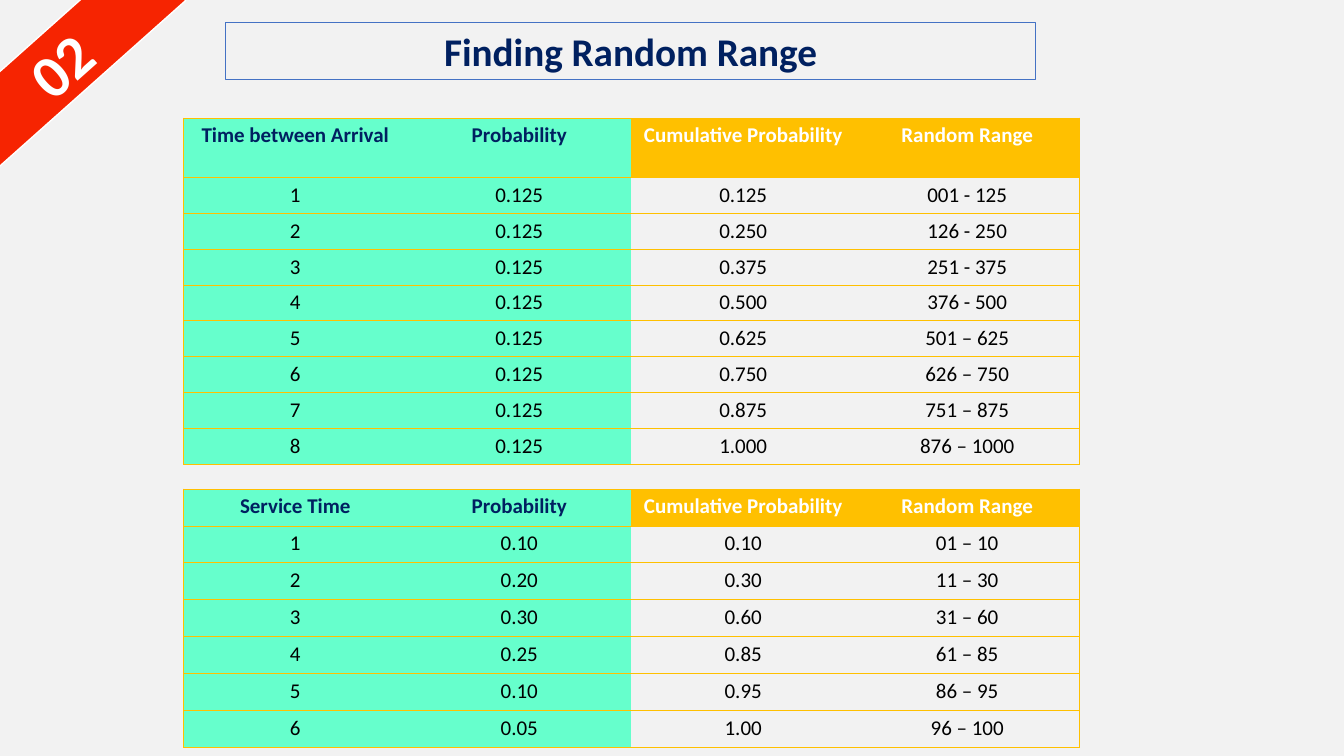
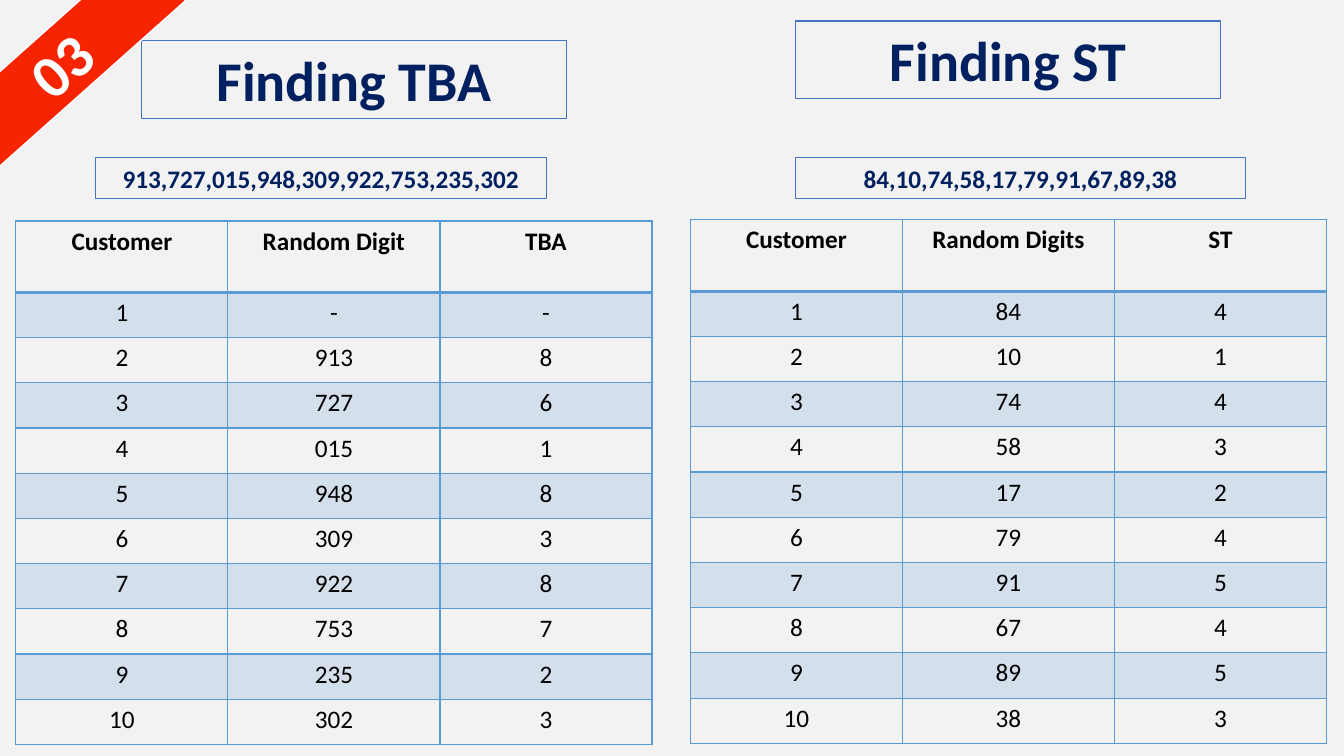
from dataclasses import dataclass

import lxml.etree
import pptx
import pptx.dml.color
import pptx.dml.fill
import pptx.enum.shapes
import pptx.enum.text
import pptx.oxml.ns
import pptx.presentation
import pptx.shapes.autoshape
import pptx.slide
import pptx.table
import pptx.text.text
import pptx.util

Cm = pptx.util.Cm
qn = pptx.oxml.ns.qn

COLORS = {
    "background": "F2F2F2",
    "navy": "002060",
    "black": "000000",
    "white": "FFFFFF",
    "ribbon": "F62401",
    "frame": "4472C4",
    "mint": "66FFCC",
    "gold": "FFC000",
    "sky": "5B9BD5",
}
FONT = "Calibri"
PLAIN_TABLE_STYLE = "{2D5ABB26-0587-4C30-8999-92F81FD0307C}"


@dataclass(frozen=True)
class Caption:
    text: str
    left: float
    top: float
    width: float
    height: float
    size: int


@dataclass(frozen=True)
class TableLook:
    size: int
    border: str
    border_width: float
    header_rule: float
    inner_verticals: bool
    given_columns: int
    banded: bool


@dataclass(frozen=True)
class Grid:
    left: float
    top: float
    width: float
    header_height: float
    row_height: float
    look: TableLook
    header: tuple[str, ...]
    rows: tuple[tuple[str, ...], ...]


@dataclass(frozen=True)
class Step:
    number: str
    grids: tuple[Grid, ...]
    captions: tuple[Caption, ...]


RANGE_LOOK = TableLook(15, "gold", 0.5, 0.5, False, 2, False)
DIGIT_LOOK = TableLook(18, "sky", 1, 2, True, 0, True)


def rgb(name: str) -> pptx.dml.color.RGBColor:
    return pptx.dml.color.RGBColor.from_string(COLORS[name])


def paint(fill: pptx.dml.fill.FillFormat, color: str | None) -> None:
    if color is None:
        fill.background()
    else:
        fill.solid()
        fill.fore_color.rgb = rgb(color)


def write(frame: pptx.text.text.TextFrame, text: str, size: int, color: str, bold: bool) -> None:
    paragraph = frame.paragraphs[0]
    paragraph.text = text
    paragraph.alignment = pptx.enum.text.PP_ALIGN.CENTER
    paragraph.font.name = FONT
    paragraph.font.size = pptx.util.Pt(size)
    paragraph.font.bold = bold
    paragraph.font.color.rgb = rgb(color)


def add_box(
    slide: pptx.slide.Slide, caption: Caption, fill: str | None, line: str, line_width: float, color: str
) -> pptx.shapes.autoshape.Shape:
    box = slide.shapes.add_shape(
        pptx.enum.shapes.MSO_SHAPE.RECTANGLE,
        Cm(caption.left), Cm(caption.top), Cm(caption.width), Cm(caption.height),
    )
    box.shadow.inherit = False
    paint(box.fill, fill)
    box.line.color.rgb = rgb(line)
    box.line.width = pptx.util.Pt(line_width)
    box.text_frame.word_wrap = True
    write(box.text_frame, caption.text, caption.size, color, True)
    return box


def add_caption(slide: pptx.slide.Slide, caption: Caption) -> None:
    box = add_box(slide, caption, None, "frame", 0.75, "navy")
    box.text_frame.vertical_anchor = pptx.enum.text.MSO_ANCHOR.TOP
    box.text_frame.auto_size = pptx.enum.text.MSO_AUTO_SIZE.SHAPE_TO_FIT_TEXT


def add_ribbon(slide: pptx.slide.Slide, number: str) -> None:
    ribbon = add_box(slide, Caption(number, -1.9, 0.74, 6.86, 1.78, 43), "ribbon", "white", 1, "white")
    ribbon.text_frame.vertical_anchor = pptx.enum.text.MSO_ANCHOR.MIDDLE
    ribbon.rotation = 318.3


def add_border(cell: pptx.table._Cell, side: str, color: str, width: float) -> None:
    properties = cell._tc.get_or_add_tcPr()
    border = lxml.etree.SubElement(properties, qn(f"a:ln{side}"), w=str(pptx.util.Pt(width)))
    solid = lxml.etree.SubElement(border, qn("a:solidFill"))
    lxml.etree.SubElement(solid, qn("a:srgbClr"), val=COLORS[color])


def style_cell(cell: pptx.table._Cell, grid: Grid, row: int, column: int) -> None:
    look = grid.look
    if look.inner_verticals or column == 0:
        add_border(cell, "L", look.border, look.border_width)
    if look.inner_verticals or column == len(grid.header) - 1:
        add_border(cell, "R", look.border, look.border_width)
    add_border(cell, "T", look.border, look.header_rule if row == 1 else look.border_width)
    add_border(cell, "B", look.border, look.header_rule if row == 0 else look.border_width)
    if look.banded:
        paint(cell.fill, "sky" if row % 2 else None)
        if row % 2:
            tint = cell._tc.tcPr.find(qn("a:solidFill")).find(qn("a:srgbClr"))
            lxml.etree.SubElement(tint, qn("a:alpha"), val="20000")
    elif column < look.given_columns:
        paint(cell.fill, "mint")
    else:
        paint(cell.fill, "gold" if row == 0 else None)


def text_color(look: TableLook, row: int, column: int) -> str:
    if row > 0 or look.banded:
        return "black"
    return "navy" if column < look.given_columns else "white"


def add_grid(slide: pptx.slide.Slide, grid: Grid) -> None:
    lines = (grid.header, *grid.rows)
    height = grid.header_height + grid.row_height * len(grid.rows)
    table = slide.shapes.add_table(
        len(lines), len(grid.header), Cm(grid.left), Cm(grid.top), Cm(grid.width), Cm(height)
    ).table
    table._tbl.tblPr.find(qn("a:tableStyleId")).text = PLAIN_TABLE_STYLE
    table.first_row = table.horz_banding = False
    for row, values in enumerate(lines):
        table.rows[row].height = Cm(grid.row_height if row else grid.header_height)
        for column, value in enumerate(values):
            cell = table.cell(row, column)
            write(cell.text_frame, value, grid.look.size, text_color(grid.look, row, column), row == 0)
            style_cell(cell, grid, row, column)


def add_step(deck: pptx.presentation.Presentation, step: Step) -> None:
    slide = deck.slides.add_slide(deck.slide_layouts[6])
    paint(slide.background.fill, "background")
    for grid in step.grids:
        add_grid(slide, grid)
    for caption in step.captions:
        add_caption(slide, caption)
    add_ribbon(slide, step.number)


def by_customer(digits: str, results: str) -> tuple[tuple[str, ...], ...]:
    pairs = zip(digits.split(","), results.split(","))
    return tuple((str(customer), *pair) for customer, pair in enumerate(pairs, 1))


RANGE_HEADER = ("Probability", "Cumulative Probability", "Random Range")
ARRIVALS = (
    ("1", "0.125", "0.125", "001 - 125"),
    ("2", "0.125", "0.250", "126 - 250"),
    ("3", "0.125", "0.375", "251 - 375"),
    ("4", "0.125", "0.500", "376 - 500"),
    ("5", "0.125", "0.625", "501 – 625"),
    ("6", "0.125", "0.750", "626 – 750"),
    ("7", "0.125", "0.875", "751 – 875"),
    ("8", "0.125", "1.000", "876 – 1000"),
)
SERVICES = (
    ("1", "0.10", "0.10", "01 – 10"),
    ("2", "0.20", "0.30", "11 – 30"),
    ("3", "0.30", "0.60", "31 – 60"),
    ("4", "0.25", "0.85", "61 – 85"),
    ("5", "0.10", "0.95", "86 – 95"),
    ("6", "0.05", "1.00", "96 – 100"),
)
TBA_DIGITS = "913,727,015,948,309,922,753,235,302"
ST_DIGITS = "84,10,74,58,17,79,91,67,89,38"

STEPS = (
    Step(
        "02",
        (
            Grid(4.62, 2.97, 22.58, 1.5, 0.86, RANGE_LOOK, ("Time between Arrival", *RANGE_HEADER), ARRIVALS),
            Grid(4.62, 12.32, 22.58, 0.93, 0.93, RANGE_LOOK, ("Service Time", *RANGE_HEADER), SERVICES),
        ),
        (Caption("Finding Random Range", 5.69, 0.56, 20.4, 1.45, 28),),
    ),
    Step(
        "03",
        (
            Grid(0.4, 5.57, 16.03, 1.8, 1.14, DIGIT_LOOK, ("Customer", "Random Digit", "TBA"),
                 by_customer("-," + TBA_DIGITS, "-,8,6,1,8,3,8,7,2,3")),
            Grid(17.4, 5.54, 16.03, 1.8, 1.14, DIGIT_LOOK, ("Customer", "Random Digits", "ST"),
                 by_customer(ST_DIGITS, "4,1,4,3,2,4,5,4,5,3")),
        ),
        (
            Caption("Finding TBA", 3.56, 1.02, 10.72, 1.96, 40),
            Caption("Finding ST", 20.04, 0.53, 10.72, 1.96, 40),
            Caption(TBA_DIGITS, 2.41, 3.98, 11.36, 1.02, 18),
            Caption(ST_DIGITS, 20.04, 3.98, 11.36, 1.02, 18),
        ),
    ),
)

deck = pptx.Presentation()
deck.slide_width, deck.slide_height = Cm(33.87), Cm(19.05)
for step in STEPS:
    add_step(deck, step)
deck.save("out.pptx")
